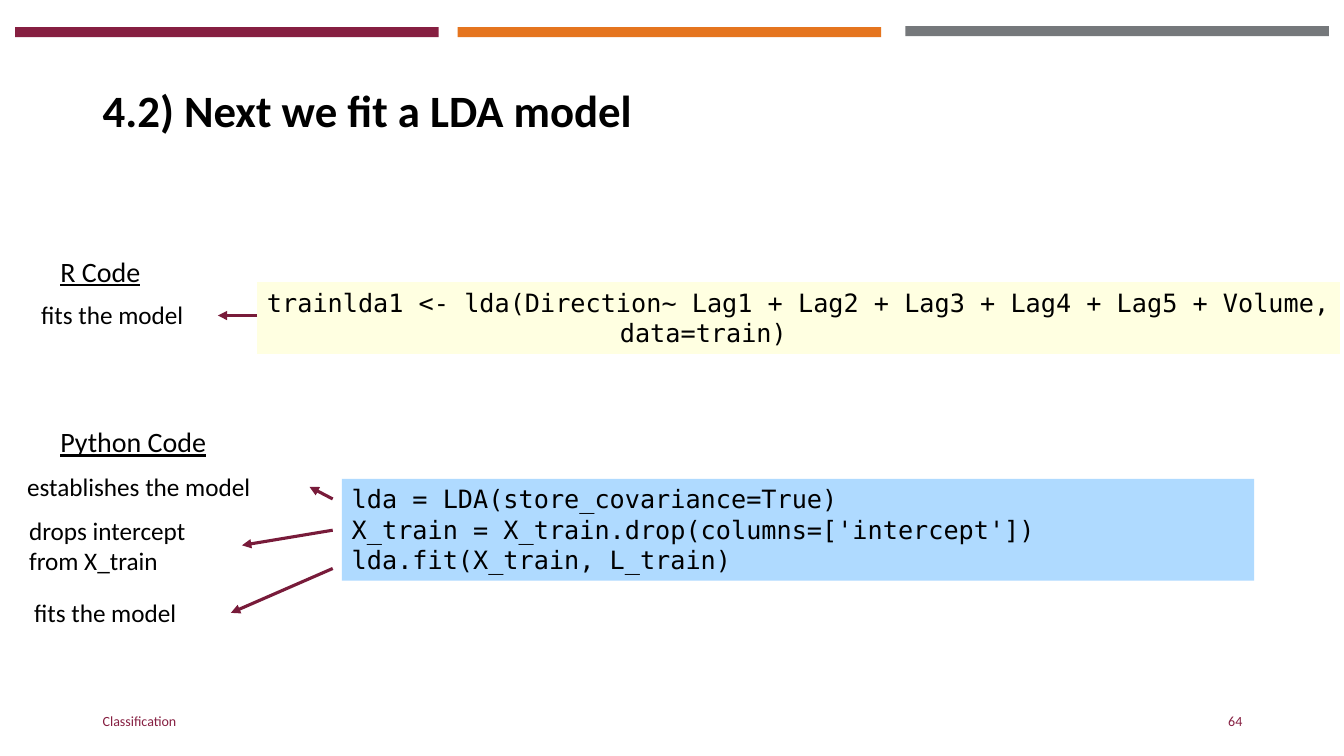
from dataclasses import dataclass

from lxml.etree import SubElement
from pptx import Presentation
from pptx.dml.color import RGBColor
from pptx.enum.shapes import MSO_CONNECTOR as Connector, MSO_SHAPE as Shape
from pptx.enum.text import MSO_ANCHOR as Anchor, PP_ALIGN as Align
from pptx.oxml.ns import qn
from pptx.util import Inches, Pt


@dataclass(frozen=True)
class Theme:
    ink: str = "000000"
    maroon: str = "861F41"
    orange: str = "E5751F"
    grey: str = "75787B"
    arrow: str = "781B3A"
    r_code: str = "FFFFE1"
    python_code: str = "AFDAFF"
    body_font: str = "Calibri"
    code_font: str = "DejaVu Sans Mono"
    title_size: int = 32
    heading_size: int = 20
    body_size: int = 18
    footer_size: int = 10


THEME = Theme()
COLUMNS, ROWS = 133.3, 75  # grid cells are a tenth of an inch
BODY_ROW = 4.0  # height of a one-line note


def grid(*cells):
    return [Inches(cell / 10) for cell in cells]


def color(value):
    return RGBColor.from_string(value)


def write(shape, lines, size, ink=THEME.ink, font=THEME.body_font, bold=False,
          underline=False, anchor=Anchor.TOP, align=Align.LEFT, spacing=None):
    frame = shape.text_frame
    frame.word_wrap = True
    frame.vertical_anchor = anchor
    frame.text = "\n".join(lines)
    for para in frame.paragraphs:
        para.alignment = align
        para.line_spacing = spacing
        for span in para.runs:
            span.font.name = font
            span.font.size = Pt(size)
            span.font.bold = bold
            span.font.underline = underline
            span.font.color.rgb = color(ink)


def add_text(page, area, text, size, **style):
    write(page.shapes.add_textbox(*grid(*area)), [text], size, **style)


def add_block(page, area, fill):
    block = page.shapes.add_shape(Shape.RECTANGLE, *grid(*area))
    block.shadow.inherit = False
    block.fill.solid()
    block.fill.fore_color.rgb = color(fill)
    block.line.fill.background()
    return block


def add_code(page, area, fill, lines):
    block = add_block(page, area, fill)
    write(block, lines, THEME.body_size, font=THEME.code_font)
    return block


def add_heading(page, top, text):
    add_text(page, (5, top, 22.2, 6.1), text, THEME.heading_size,
             underline=True, anchor=Anchor.MIDDLE, spacing=1.5)


def add_arrow(page, start, end):
    arrow = page.shapes.add_connector(Connector.STRAIGHT, *grid(*start, *end))
    arrow.line.color.rgb = color(THEME.arrow)
    arrow.line.width = Pt(2.25)
    SubElement(arrow.line._get_or_add_ln(), qn("a:tailEnd"), type="triangle")
    SubElement(arrow._element.spPr, qn("a:effectLst"))


def indent_last_line(block, cells):
    properties = block.text_frame.paragraphs[-1]._p.get_or_add_pPr()
    properties.set("marL", str(grid(cells)[0]))


def main():
    deck = Presentation()
    deck.slide_width, deck.slide_height = grid(COLUMNS, ROWS)
    page = deck.slides.add_slide(deck.slide_layouts[6])

    # Bars along the top
    for left, top, fill in ((1.5, 2.7, THEME.maroon),
                            (45.4, 2.7, THEME.orange),
                            (89.8, 2.6, THEME.grey)):
        add_block(page, (left, top, 42, 1), fill)

    # Title
    add_text(page, (9.2, 4, 115, 14.5), "4.2) Next we fit a LDA model",
             THEME.title_size, bold=True, anchor=Anchor.MIDDLE, spacing=0.9)

    # Code in both languages
    add_heading(page, 23, "R Code")
    r_block = add_code(page, (25.5, 28, 107.4, 7.1), THEME.r_code, [
        "trainlda1 <- lda(Direction~ Lag1 + Lag2 + Lag3 + Lag4 + Lag5 + Volume,",
        "data=train)"])
    indent_last_line(r_block, 35)

    add_heading(page, 39.9, "Python Code")
    add_code(page, (33.9, 47.5, 90.5, 10.1), THEME.python_code, [
        "lda = LDA(store_covariance=True)",
        "X_train = X_train.drop(columns=['intercept'])",
        "lda.fit(X_train, L_train)"])

    # Notes, each with the arrow that leads from its line of code
    notes = (
        ("fits the model", (3.1, 29.2, 20.9, BODY_ROW), (25.5, 31.3), (21.6, 31.3)),
        ("establishes the model", (1.7, 46.3, 29, BODY_ROW), (33, 49.5), (30.7, 48.3)),
        ("drops intercept from X_train", (1.9, 50.6, 22.1, 7.1), (33, 52.6), (24, 54.1)),
        ("fits the model", (2.4, 58.8, 20.6, BODY_ROW), (33, 56.4), (22.9, 60.8)),
    )
    for text, area, start, end in notes:
        add_text(page, area, text, THEME.body_size)
        add_arrow(page, start, end)

    # Footer
    for left, width, text, align in ((9.2, 45, "Classification", Align.LEFT),
                                     (94.2, 30, "64", Align.RIGHT)):
        add_text(page, (left, 69.5, width, 4), text, THEME.footer_size,
                 ink=THEME.maroon, anchor=Anchor.MIDDLE, align=align)

    deck.save("out.pptx")


if __name__ == "__main__":
    main()
